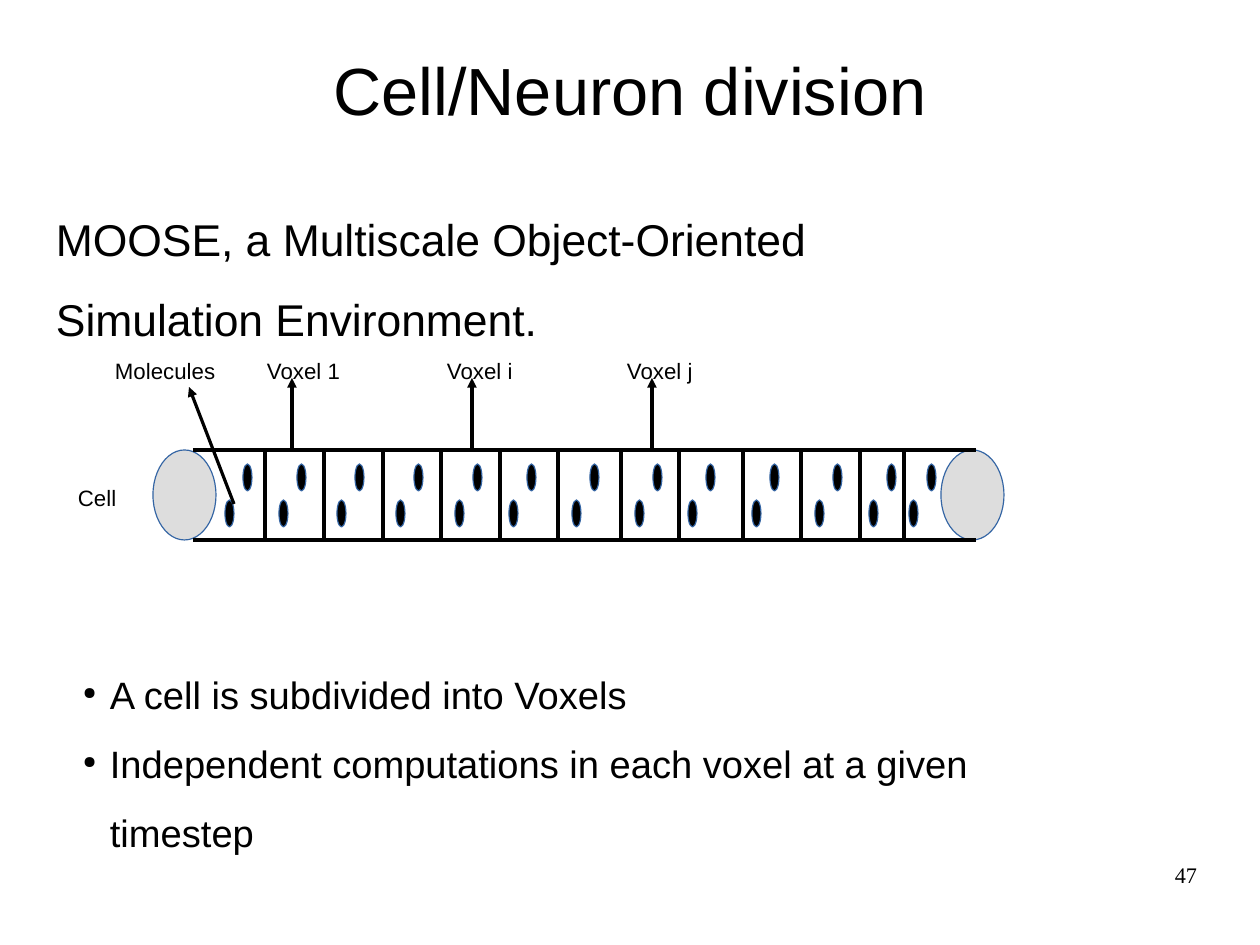
from lxml.etree import SubElement
from pptx import Presentation
from pptx.dml.color import RGBColor
from pptx.enum.shapes import MSO_CONNECTOR, MSO_SHAPE
from pptx.enum.text import MSO_ANCHOR, PP_ALIGN
from pptx.oxml.ns import qn
from pptx.util import Pt

PX = 8000  # EMU per px
COLORS = {"ink": "000000", "cap": "DDDDDD", "outline": "3465A4"}
TOP, BOTTOM = 450, 540

presentation = Presentation()
presentation.slide_width, presentation.slide_height = 1260 * PX, 945 * PX
slide = presentation.slides.add_slide(presentation.slide_layouts[6])


def add_text(text, left, top, width, height, size, font="Arial", inset=(11, 6),
             align=PP_ALIGN.LEFT, anchor=MSO_ANCHOR.TOP, spacing=1.0):
    box = slide.shapes.add_textbox(left * PX, top * PX, width * PX, height * PX)
    frame = box.text_frame
    frame.word_wrap = True
    frame.vertical_anchor = anchor
    frame.margin_left = frame.margin_right = inset[0] * PX
    frame.margin_top = frame.margin_bottom = inset[1] * PX
    frame.text = text
    for paragraph in frame.paragraphs:
        paragraph.alignment = align
        paragraph.line_spacing = spacing
        for run in paragraph.runs:
            run.font.name, run.font.size = font, Pt(size)
            run.font.color.rgb = RGBColor.from_string(COLORS["ink"])
    return frame


def add_line(x1, y1, x2, y2, arrow=False):
    line = slide.shapes.add_connector(
        MSO_CONNECTOR.STRAIGHT, x1 * PX, y1 * PX, x2 * PX, y2 * PX)
    line.line.color.rgb = RGBColor.from_string(COLORS["ink"])
    line.line.width = Pt(0)
    if arrow:
        SubElement(line.line._get_or_add_ln(), qn("a:tailEnd"), type="triangle")
    SubElement(line._element.spPr, qn("a:effectLst"))


# Title
add_text("Cell/Neuron division", 63, 35, 1134, 107, 42, inset=(0, 0),
         align=PP_ALIGN.CENTER, anchor=MSO_ANCHOR.MIDDLE)

# Ellipses: the two end caps of the cell, then a pair of molecules per voxel
ellipses = [(left, TOP, 63, 90, "cap") for left in (153, 941)]
for left in (243, 297, 355, 414, 473, 527, 590, 653, 706, 770, 833, 887, 927):
    ellipses += [(left, 464, 9, 27, "ink"), (left - 18, 500, 9, 27, "ink")]
for left, top, width, height, fill in ellipses:
    ellipse = slide.shapes.add_shape(
        MSO_SHAPE.OVAL, left * PX, top * PX, width * PX, height * PX)
    ellipse.shadow.inherit = False
    ellipse.fill.solid()
    ellipse.fill.fore_color.rgb = RGBColor.from_string(COLORS[fill])
    ellipse.line.color.rgb = RGBColor.from_string(COLORS["outline"])
    ellipse.line.width = Pt(0)

# Cell membrane and voxel walls
for y in (TOP, BOTTOM):
    add_line(193, y, 976, y)
for x in (265, 324, 383, 441, 500, 558, 621, 679, 743, 801, 860, 904):
    add_line(x, TOP, x, BOTTOM)

# Voxel labels with arrows
for index, name in enumerate(("Voxel 1", "Voxel i", "Voxel j")):
    x = 292 + 180 * index
    add_line(x, TOP, x, 378, arrow=True)
    add_text(name, x - 36, 351, 99, 37, 14)

# Molecule and cell labels
add_line(234, 504, 189, 387, arrow=True)
add_text("Molecules", 104, 351, 139, 62, 14)
add_text("Cell", 67, 478, 72, 62, 14)

# Introduction
add_text("MOOSE, a Multiscale Object-Oriented Simulation Environment.",
         45, 179, 927, 160, 28, spacing=1.5)

# Bullets
bullets = add_text("A cell is subdivided into Voxels\n"
                   "Independent computations in each voxel at a given timestep",
                   72, 643, 964, 202, 24, spacing=1.5)
for paragraph in bullets.paragraphs:
    properties = paragraph._p.get_or_add_pPr()
    properties.set("marL", str(27 * PX))
    properties.set("indent", str(-27 * PX))
    color = SubElement(properties, qn("a:buClr"))
    SubElement(color, qn("a:srgbClr"), val=COLORS["ink"])
    SubElement(properties, qn("a:buSzPct"), val="45000")
    SubElement(properties, qn("a:buChar"), char="●")

# Slide number
add_text("47", 903, 861, 294, 65, 14, font="Times New Roman", inset=(0, 0),
         align=PP_ALIGN.RIGHT)

presentation.save("out.pptx")
